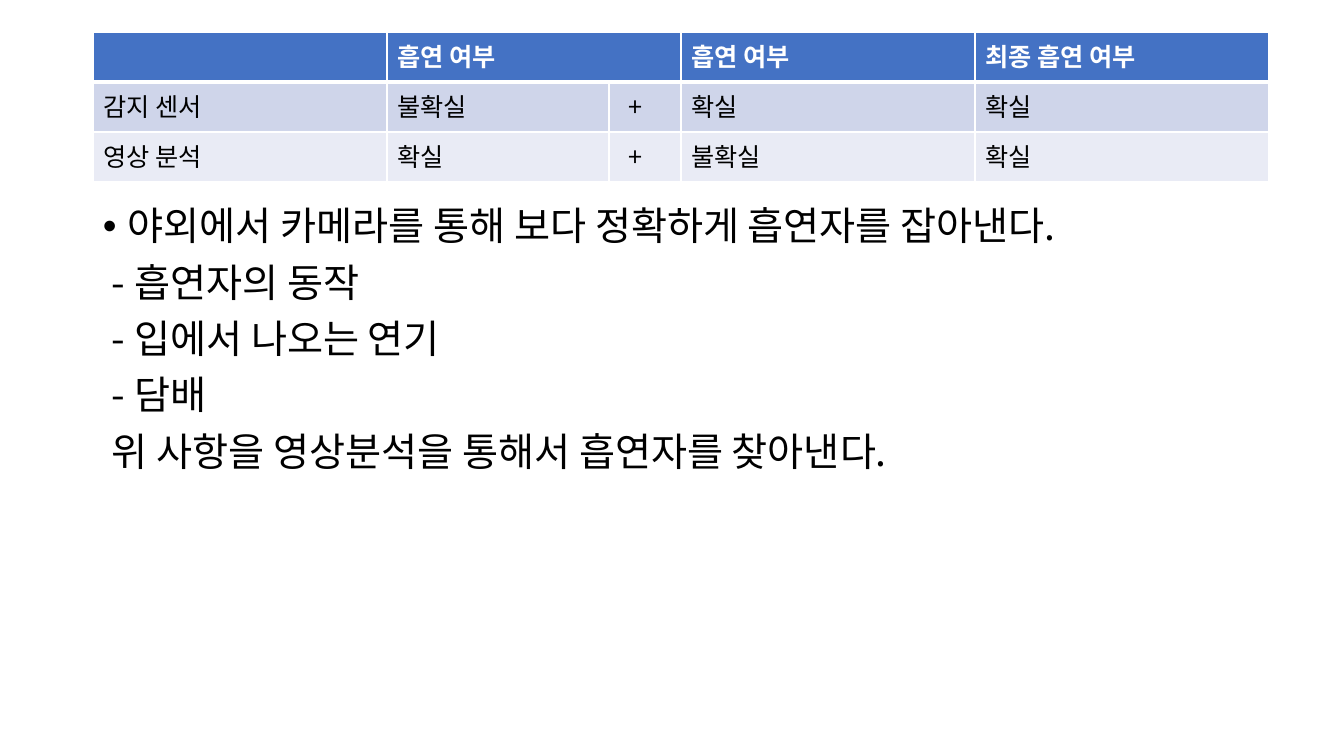
from lxml import etree
from pptx import Presentation
from pptx import util as u
from pptx.dml.color import RGBColor
from pptx.enum import text
from pptx.oxml.ns import qn

PX = 914400 / 100.8
FONT = "Noto Sans CJK KR"
WHITE = RGBColor(0xFF, 0xFF, 0xFF)
BLACK = RGBColor(0, 0, 0)
HEADER = RGBColor(0x44, 0x72, 0xC4)
BAND_DARK = RGBColor(0xCF, 0xD5, 0xEA)
BAND_LIGHT = RGBColor(0xE9, 0xEB, 0xF5)

ROWS = [
    ("", "흡연 여부", "", "흡연 여부", "최종 흡연 여부"),
    ("감지 센서", "불확실", "+", "확실", "확실"),
    ("영상 분석", "확실", "+", "불확실", "확실"),
]
FILLS = [HEADER, BAND_DARK, BAND_LIGHT]
COLS = [294, 222, 72, 294, 294]
ROW_H = 50
TABLE_AT = (93, 32)
PLUS_COL, PLUS_MARGIN = 2, 20

BODY_AT = (93, 202, 1159, 480)
BODY = [
    ("•", "야외에서 카메라를 통해 보다 정확하게 흡연자를 잡아낸다."),
    ("", "- 흡연자의 동작"),
    ("", "- 입에서 나오는 연기"),
    ("", "- 담배"),
    ("", "위 사항을 영상분석을 통해서 흡연자를 찾아낸다."),
]
INDENTS = {"•": (25, -25), "": (9, 0)}
HEAD_FONT = {"name": FONT, "size": u.Pt(18), "bold": True}
CELL_FONT = {"name": FONT, "size": u.Pt(18), "bold": False}
BODY_FONT = {"name": FONT, "size": u.Pt(28)}
BODY_PARA = {"line_spacing": 0.9, "space_before": u.Pt(10)}


def px(n):
    return u.Emu(round(n * PX))


def apply(obj, values):
    for name, value in values.items():
        setattr(obj, name, value)


def add_run(p, content, values, color):
    r = p.add_run()
    r.text = content
    apply(r.font, values)
    r.font.color.rgb = color
    etree.SubElement(r.font._element, qn("a:ea"), typeface=FONT)


def set_borders(cell, bottom):
    tc_pr = cell._tc.get_or_add_tcPr()
    widths = {"L": 1, "R": 1, "T": 1, "B": bottom}
    for i, (side, width) in enumerate(widths.items()):
        ln = etree.Element(qn("a:ln" + side), w=str(u.Pt(width)))
        fill = etree.SubElement(ln, qn("a:solidFill"))
        etree.SubElement(fill, qn("a:srgbClr"), val=str(WHITE))
        tc_pr.insert(i, ln)


def add_results(s):
    size = (sum(COLS), ROW_H * len(ROWS))
    frame = s.shapes.add_table(len(ROWS), len(COLS), *map(px, TABLE_AT + size))
    table = frame.table
    for col, width in zip(table.columns, COLS):
        col.width = px(width)
    for i, row in enumerate(ROWS):
        table.rows[i].height = px(ROW_H)
        head = i == 0
        for j, content in enumerate(row):
            cell = table.cell(i, j)
            cell.fill.solid()
            cell.fill.fore_color.rgb = FILLS[i]
            set_borders(cell, 3 if head else 1)
            if j == PLUS_COL and not head:
                cell.margin_left = px(PLUS_MARGIN)
            p = cell.text_frame.paragraphs[0]
            p.font.size = u.Pt(18)
            if content:
                add_run(p, content, HEAD_FONT if head else CELL_FONT,
                        WHITE if head else BLACK)
    table.cell(0, 1).merge(table.cell(0, 2))


def add_body(s):
    tf = s.shapes.add_textbox(*map(px, BODY_AT)).text_frame
    apply(tf, {"word_wrap": True, "vertical_anchor": text.MSO_ANCHOR.TOP})
    for i, (bullet, content) in enumerate(BODY):
        p = tf.add_paragraph() if i else tf.paragraphs[0]
        apply(p, BODY_PARA)
        p_pr = p._p.get_or_add_pPr()
        margin, indent = INDENTS[bullet]
        p_pr.set("marL", str(px(margin)))
        p_pr.set("indent", str(px(indent)))
        if bullet:
            etree.SubElement(p_pr, qn("a:buFont"), typeface="Arial")
            etree.SubElement(p_pr, qn("a:buChar"), char=bullet)
        else:
            etree.SubElement(p_pr, qn("a:buNone"))
        add_run(p, content, BODY_FONT, BLACK)


def main():
    prs = Presentation()
    apply(prs, {"slide_width": px(1344), "slide_height": px(756)})
    s = prs.slides.add_slide(prs.slide_layouts[6])
    add_body(s)
    add_results(s)
    prs.save("out.pptx")


if __name__ == "__main__":
    main()
